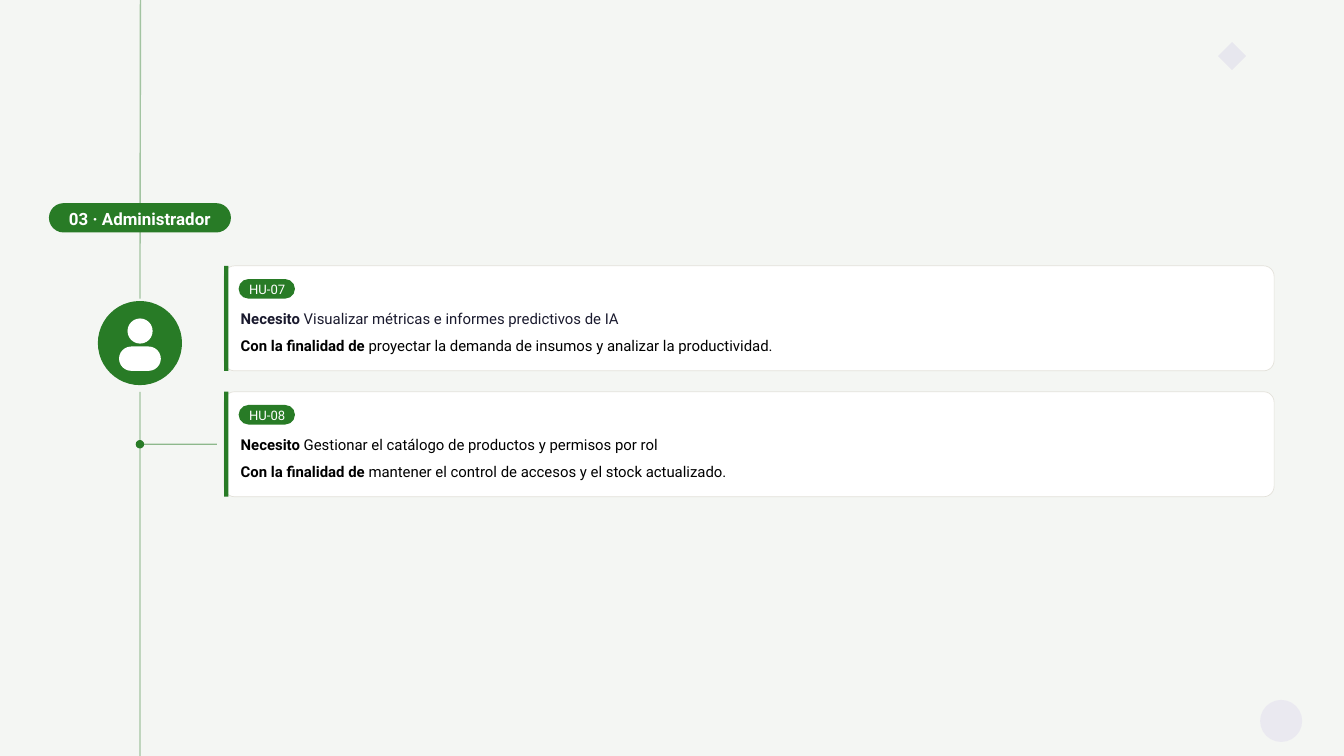
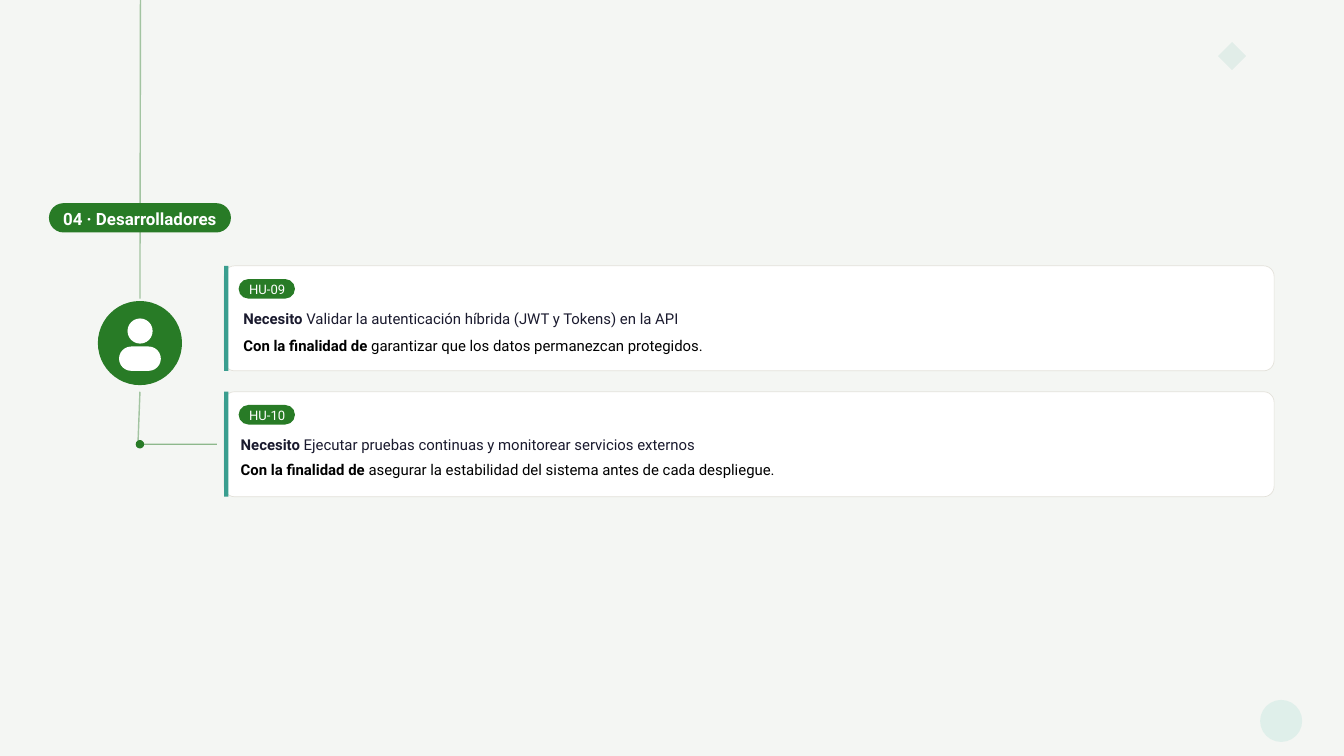
from dataclasses import dataclass

from lxml import etree
from pptx import Presentation
from pptx.dml.color import RGBColor
from pptx.enum.shapes import MSO_CONNECTOR, MSO_SHAPE
from pptx.enum.text import MSO_AUTO_SIZE, PP_ALIGN
from pptx.oxml.ns import qn
from pptx.util import Cm, Pt

OVAL, RECT = MSO_SHAPE.OVAL, MSO_SHAPE.RECTANGLE
ROUND, GEM = MSO_SHAPE.ROUNDED_RECTANGLE, MSO_SHAPE.DIAMOND
STRAIGHT = MSO_CONNECTOR.STRAIGHT
LEFT, MID = PP_ALIGN.LEFT, PP_ALIGN.CENTER
GROW = MSO_AUTO_SIZE.SHAPE_TO_FIT_TEXT

PAPER = RGBColor(0xF4, 0xF6, 0xF3)
GREEN = RGBColor(0x28, 0x7B, 0x26)
TEAL = RGBColor(0x3A, 0x9E, 0x8F)
MINT = RGBColor(0x8F, 0xD4, 0xC8)
LILAC = RGBColor(0xC4, 0xB8, 0xE8)
VIOLET = RGBColor(0x7C, 0x6B, 0xC4)
WHITE = RGBColor(0xFF, 0xFF, 0xFF)
EDGE = RGBColor(0xE3, 0xE1, 0xDA)
INK = RGBColor(0x1A, 0x1A, 0x2E)
BLACK = RGBColor(0, 0, 0)

# Layout in centimetres
WIDE, HIGH = 50.8, 28.58
AXIS = 5.29
CARD_X, CARD_Y, CARD_W, CARD_H, STEP = 8.47, 10.05, 39.69, 3.97, 4.76
TEXT_W, TEXT_H = 38.4, 0.69

# Text styles
BODY = {"size": Pt(16), "name": "Roboto", "bold": False}
STRONG = BODY | {"bold": True}
CODE = BODY | {"size": Pt(14)}
TITLE = STRONG | {"size": Pt(18.1)}


@dataclass
class Story:
    code: str
    need: str
    goal: str
    tint: RGBColor = INK
    left: float = 9.1
    goal_dy: float = 2.63


@dataclass
class Role:
    title: str
    bar: RGBColor
    disc: RGBColor
    gem: RGBColor
    end: tuple[float, float]
    cards: list[Story]


ROLES = [
    Role("03 · Administrador", GREEN, LILAC, VIOLET, (AXIS, HIGH), [
        Story("HU-07", "Visualizar métricas e informes predictivos de IA",
              "proyectar la demanda de insumos y analizar la productividad."),
        Story("HU-08", "Gestionar el catálogo de productos y permisos por rol",
              "mantener el control de accesos y el stock actualizado.",
              tint=BLACK),
    ]),
    Role("04 · Desarrolladores", TEAL, MINT, TEAL, (5.21, 16.89), [
        Story("HU-09", "Validar la autenticación híbrida (JWT y Tokens) en la API",
              "garantizar que los datos permanezcan protegidos.", left=9.2),
        Story("HU-10", "Ejecutar pruebas continuas y monitorear servicios externos",
              "asegurar la estabilidad del sistema antes de cada despliegue.",
              goal_dy=2.56),
    ]),
]


def fade(item, share: int) -> None:
    """Set the opacity, in percent, of the item's colour."""
    tone = next(item._element.spPr.iter(qn("a:srgbClr")))
    etree.SubElement(tone, qn("a:alpha"), val=str(share * 1000))


def block(slide, kind, x: float, y: float, w: float, h: float,
          fill: RGBColor, curve: float = 0.5, edge: RGBColor | None = None):
    shape = slide.shapes.add_shape(kind, Cm(x), Cm(y), Cm(w), Cm(h))
    shape.shadow.inherit = False
    shape.fill.solid()
    shape.fill.fore_color.rgb = fill
    if edge is None:
        shape.line.fill.background()
    else:
        shape.line.color.rgb = edge
        shape.line.width = Pt(0.75)
    if kind == ROUND:
        shape.adjustments[0] = curve
    return shape


def disc(slide, x: float, y: float, size: float, fill: RGBColor):
    return block(slide, OVAL, x, y, size, size, fill)


def rule(slide, start: tuple[float, float], end: tuple[float, float],
         share: int) -> None:
    line = slide.shapes.add_connector(
        STRAIGHT, *(Cm(v) for v in (*start, *end)))
    line.line.color.rgb = GREEN
    line.line.width = Pt(1.5)
    etree.SubElement(line._element.spPr, qn("a:effectLst"))
    fade(line, share)


def label(slide, x: float, y: float, w: float, h: float, parts: list,
          tint: RGBColor, pitch: float, align=LEFT) -> None:
    """Write one line made of (text, style) parts."""
    frame = slide.shapes.add_textbox(Cm(x), Cm(y), Cm(w), Cm(h)).text_frame
    look = {"margin_left": 0, "margin_top": 0, "margin_right": 0,
            "margin_bottom": 0, "word_wrap": True, "auto_size": GROW}
    for key, value in look.items():
        setattr(frame, key, value)
    para = frame.paragraphs[0]
    para.alignment = align
    para.line_spacing = Pt(pitch)
    for text, style in parts:
        run = para.add_run()
        run.text = text
        for key, value in style.items():
            setattr(run.font, key, value)
        run.font.color.rgb = tint


def user(slide) -> None:
    disc(slide, 3.7, 11.38, 3.18, GREEN)
    disc(slide, 4.82, 12.04, 0.95, WHITE)
    block(slide, ROUND, 4.5, 13.1, 1.58, 0.92, WHITE)


def card(slide, top: float, story: Story, bar: RGBColor) -> None:
    block(slide, ROUND, CARD_X, top, CARD_W, CARD_H, WHITE, 0.1, EDGE)
    block(slide, RECT, CARD_X, top, 0.16, CARD_H, bar)
    lines = [(1.6, "Necesito", story.need, story.tint),
             (story.goal_dy, "Con la finalidad de", story.goal, BLACK)]
    for down, lead, rest, tint in lines:
        label(slide, story.left, top + down, TEXT_W, TEXT_H,
              [(lead, STRONG), (f" {rest}", BODY)], tint, 20.8)
    # Code pill
    block(slide, ROUND, 9.02, top + 0.5, 2.13, 0.74, GREEN)
    label(slide, 8.64, top + 0.48, 2.92, 0.66,
          [(story.code, CODE)], WHITE, 19.6, MID)


def draw(slide, role: Role) -> None:
    back = slide.background.fill
    back.solid()
    back.fore_color.rgb = PAPER
    user(slide)
    rule(slide, (AXIS, CARD_Y + STEP), role.end, 40)

    # Branch to the second card
    turn = CARD_Y + STEP + CARD_H / 2
    rule(slide, (AXIS, turn), (8.2, turn), 50)
    disc(slide, AXIS - 0.16, turn - 0.16, 0.32, GREEN)
    for row, story in enumerate(role.cards):
        card(slide, CARD_Y + row * STEP, story, role.bar)

    # Corner accents
    fade(disc(slide, 47.63, 26.46, 1.59, role.disc), 20)
    fade(block(slide, GEM, 46.04, 1.59, 1.06, 1.06, role.gem), 10)

    # Upper stem and role tag
    rule(slide, (5.31, 0), (AXIS, 11.29), 40)
    block(slide, ROUND, 1.85, 7.68, 6.88, 1.11, GREEN)
    label(slide, 2.11, 7.77, 6.35, 0.81,
          [(role.title, TITLE)], WHITE, 25.3, MID)


def main() -> None:
    deck = Presentation()
    deck.slide_width, deck.slide_height = Cm(WIDE), Cm(HIGH)
    for role in ROLES:
        draw(deck.slides.add_slide(deck.slide_layouts[6]), role)
    deck.save("out.pptx")


if __name__ == "__main__":
    main()
